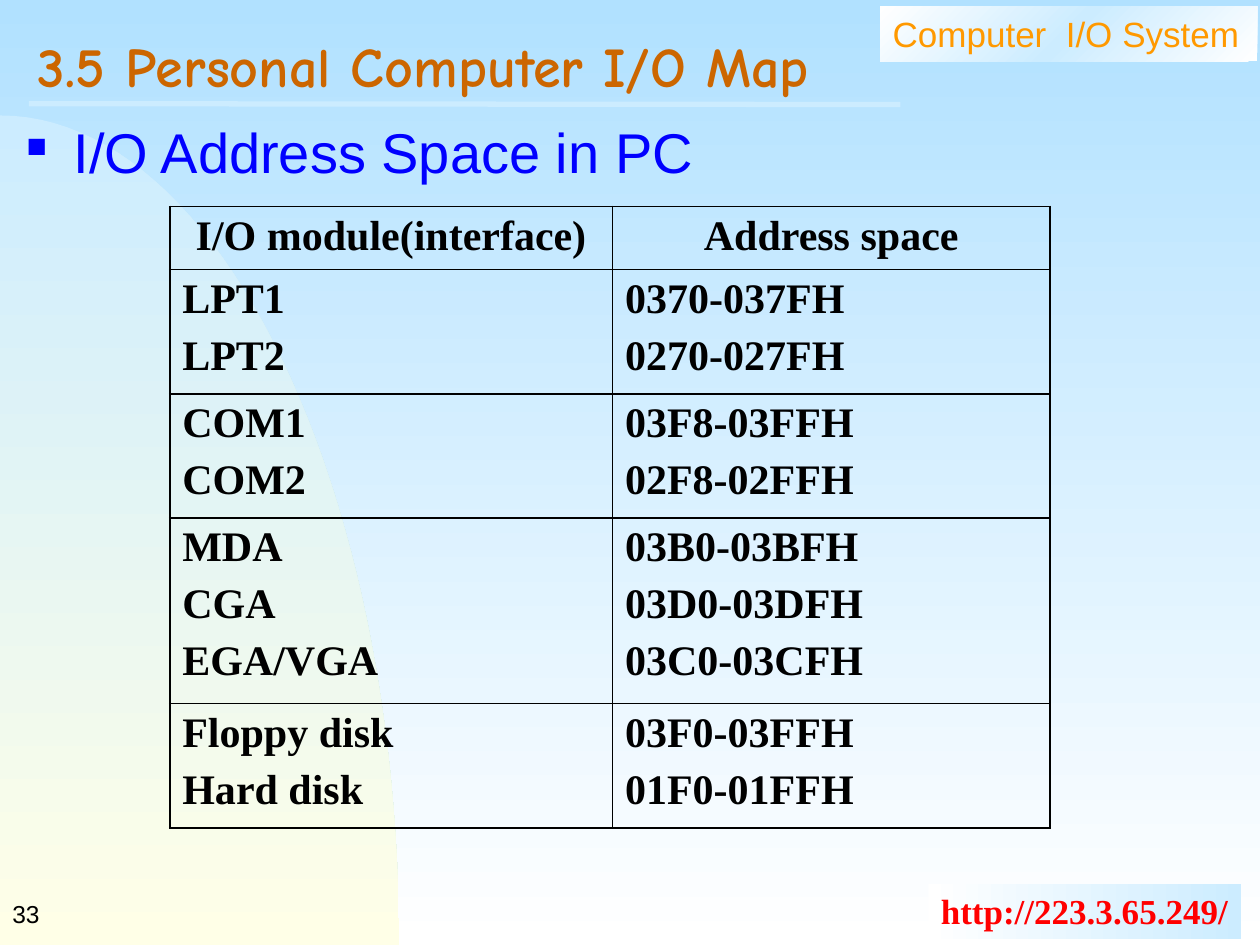
from copy import deepcopy

from lxml import etree
from pptx import Presentation
from pptx.dml.color import RGBColor
from pptx.enum.shapes import MSO_CONNECTOR, MSO_SHAPE
from pptx.enum.text import MSO_ANCHOR, PP_ALIGN
from pptx.oxml.ns import qn
from pptx.util import Pt

LINE = MSO_CONNECTOR.STRAIGHT
RECT = MSO_SHAPE.RECTANGLE
TOP = MSO_ANCHOR.TOP
MID = MSO_ANCHOR.MIDDLE
LEFT = PP_ALIGN.LEFT
CENTER = PP_ALIGN.CENTER
JUST = PP_ALIGN.JUSTIFY

SANS = "Arial"
SERIF = "Times New Roman"
COMIC = "Comic Neue"

ROWS = [
    (36, ["I/O module(interface)"], ["Address space"]),
    (71, ["LPT1", "LPT2"], ["0370-037FH", "0270-027FH"]),
    (71, ["COM1", "COM2"], ["03F8-03FFH", "02F8-02FFH"]),
    (106, ["MDA", "CGA", "EGA/VGA"],
     ["03B0-03BFH", "03D0-03DFH", "03C0-03CFH"]),
    (71, ["Floppy disk", "Hard disk"], ["03F0-03FFH", "01F0-01FFH"]),
]


def color(code):
    return RGBColor.from_string(code)


def points(box):
    return [Pt(n) for n in box]


def shade(fill, root, angle, codes):
    fill.gradient()
    fill.gradient_angle = angle
    stops = root.xpath(".//a:gsLst")[0]
    while len(stops) < len(codes):
        stops.append(deepcopy(stops[0]))
    for i, (stop, code) in enumerate(zip(fill.gradient_stops, codes)):
        stop.color.rgb = color(code)
        stop.position = i / (len(codes) - 1)


def style(para, size, face, code, bold=False):
    font = para.font
    font.size = Pt(size)
    font.name = face
    font.bold = bold
    font.color.rgb = color(code)


def write(frame, text, size, face, code, bold=False, anchor=TOP, wrap=True):
    frame.word_wrap = wrap
    frame.vertical_anchor = anchor
    para = frame.paragraphs[0]
    para.text = text
    para.alignment = LEFT
    style(para, size, face, code, bold)
    return para


def add_text(slide, box, *args, **opts):
    shape = slide.shapes.add_textbox(*points(box))
    return write(shape.text_frame, *args, **opts)


def add_curve(slide, box):
    x, y, w, h = box
    count = 48
    dots = []
    for i in range(count + 1):
        t = i / count
        s = 1 - t
        across = 3 * s * s * t * 0.55 + 3 * s * t * t + t ** 3
        down = 3 * s * t * t * 0.45 + t ** 3
        dots.append((Pt(x + w * across), Pt(y + h * down)))
    build = slide.shapes.build_freeform(Pt(x), Pt(y))
    build.add_line_segments(dots[1:] + [(Pt(x), Pt(y + h))], close=True)
    shape = build.convert_to_shape()
    shape.shadow.inherit = False
    shape.line.fill.background()
    shade(shape.fill, shape._element, 270, ["CCECFF", "FFFFE7"])


def add_label(slide, box, angle, codes, *args, **opts):
    shape = slide.shapes.add_shape(RECT, *points(box))
    shape.shadow.inherit = False
    shape.line.fill.background()
    shade(shape.fill, shape._element, angle, codes)
    write(shape.text_frame, *args, **opts)


def add_rule(slide, box):
    x, y, w, h = points(box)
    line = slide.shapes.add_connector(LINE, x, y, x + w, y + h)
    line.line.color.rgb = color("CCECFF")
    line.line.width = Pt(3)
    etree.SubElement(line._element.spPr, qn("a:effectLst"))


def add_title(slide, box):
    para = add_text(slide, box, "3.5 Personal Computer I/O Map",
                    32, COMIC, "CC6600", bold=True, anchor=MID)
    para.line_spacing = 0.7


def add_point(slide, box):
    para = add_text(slide, box, "I/O Address Space in PC",
                    32, SANS, "0000FF")
    props = para._p.get_or_add_pPr()
    props.set("marL", str(Pt(27)))
    props.set("indent", str(-Pt(27)))
    tint = etree.Element(qn("a:buClr"))
    etree.SubElement(tint, qn("a:srgbClr"), val="0000FF")
    size = etree.Element(qn("a:buSzPct"), val="50000")
    mark = etree.Element(qn("a:buChar"), char="■")
    for i, part in enumerate((tint, size, mark)):
        props.insert(i, part)


def add_edges(cell):
    props = cell._tc.get_or_add_tcPr()
    for i, side in enumerate(("lnL", "lnR", "lnT", "lnB")):
        edge = etree.Element(qn("a:" + side), w=str(Pt(1.08)))
        fill = etree.SubElement(edge, qn("a:solidFill"))
        etree.SubElement(fill, qn("a:srgbClr"), val="000000")
        props.insert(i, edge)


def fill_cell(cell, lines, align):
    cell.fill.background()
    add_edges(cell)
    cell.text = "\n".join(lines)
    for i, para in enumerate(cell.text_frame.paragraphs):
        para.alignment = align
        para.space_before = Pt(6 if i else 0)
        style(para, 24, SERIF, "000000", True)


def add_map(slide, box):
    frame = slide.shapes.add_table(len(ROWS), 2, *points(box))
    table = frame.table
    table.first_row = False
    table.horz_banding = False
    for col, width in zip(table.columns, (253, box[2] - 253)):
        col.width = Pt(width)
    for r, (height, *cells) in enumerate(ROWS):
        table.rows[r].height = Pt(height)
        for c, lines in enumerate(cells):
            fill_cell(table.cell(r, c), lines, JUST if r else CENTER)


def main():
    deck = Presentation()
    deck.slide_width, deck.slide_height = Pt(720), Pt(540)
    slide = deck.slides.add_slide(deck.slide_layouts[6])
    shade(slide.background.fill, slide._element, 270, ["B1E1FF", "FFFFFF"])
    add_curve(slide, (0, 66, 228, 474))
    add_label(slide, (503, 3.5, 215.5, 31.5), 315,
              ["FFFFFF", "CCECFF", "FFFFFF"],
              "Computer  I/O System", 20, SANS, "FF9900")
    add_label(slide, (530.5, 505, 178.5, 31.5), 0, ["FFFFFF", "CCECFF"],
              "http://223.3.65.249/", 20, SERIF, "FF0000",
              bold=True, wrap=False)
    add_rule(slide, (16.5, 59.25, 498, 0.5))
    add_text(slide, (0, 504, 150, 36), "33", 14, SANS, "000000", anchor=MID)
    add_title(slide, (14.4, 14.4, 687.6, 55.4))
    add_point(slide, (8, 63.5, 691, 432))
    add_map(slide, (97, 118, 503, sum(row[0] for row in ROWS)))
    deck.save("out.pptx")


if __name__ == "__main__":
    main()
